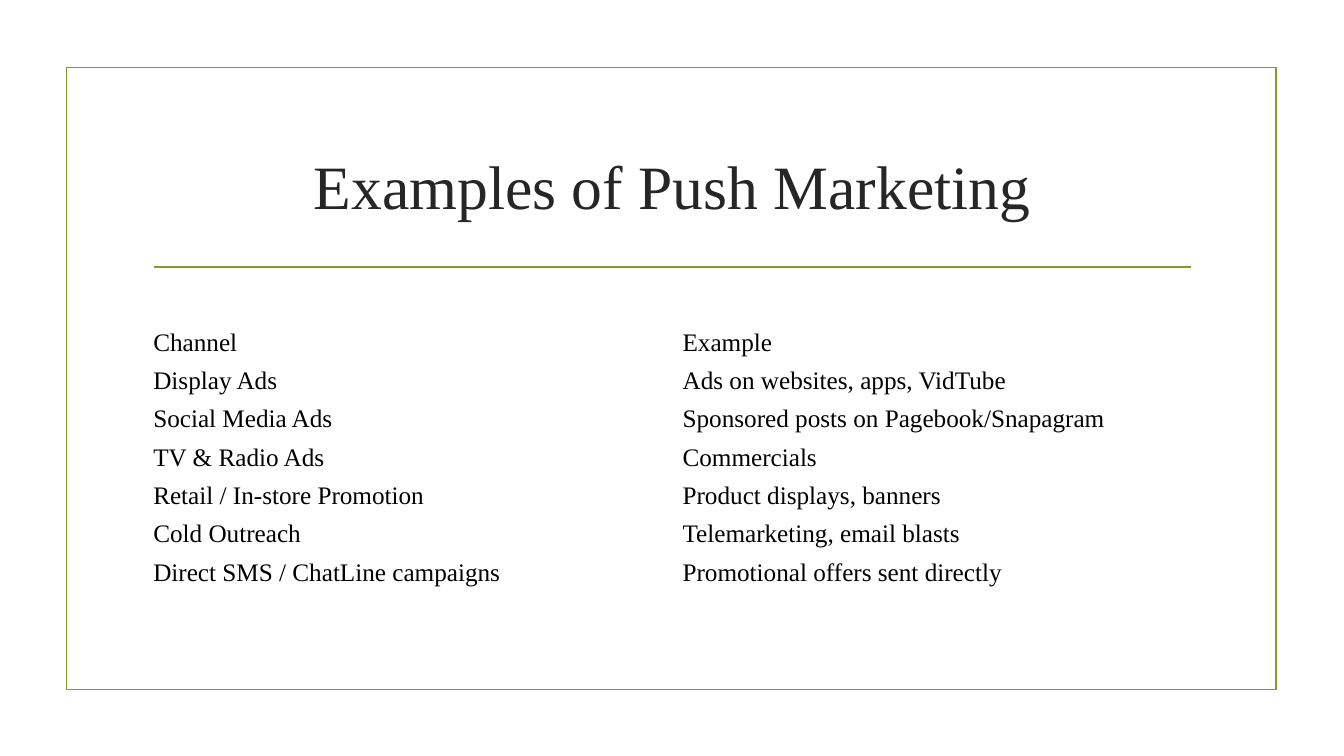
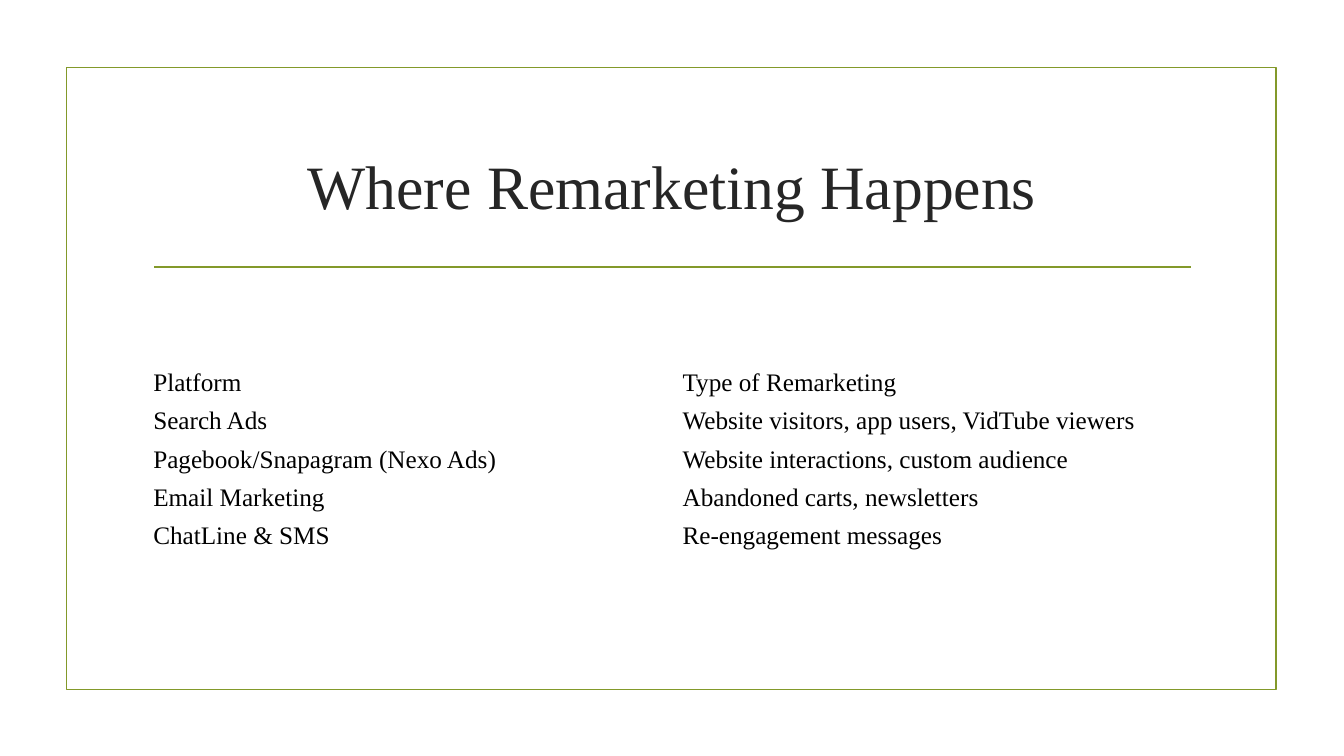
import pptx
import pptx.dml.color
import pptx.enum.shapes
import pptx.enum.text
import pptx.util
from lxml import etree
from pptx.util import Inches

FONT = "Times New Roman"
OLIVE = "83992A"
TITLE_INK = "262626"
BODY_INK = "000000"

# Boxes are left, top, width, height in inches
FRAME_BOX = (0.66, 0.67, 12, 6.17)
TITLE_BOX = (1.42, 1.07, 10.5, 1.43)
BODY_BOX = (1.42, 3.21, 10.5, 2.8)
ROW_SLOT = 0.4
ROW_HEIGHT = 0.38

SLIDES = [
    ("Examples of Push Marketing", [
        ("Channel", "Example"),
        ("Display Ads", "Ads on websites, apps, VidTube"),
        ("Social Media Ads", "Sponsored posts on Pagebook/Snapagram"),
        ("TV & Radio Ads", "Commercials"),
        ("Retail / In-store Promotion", "Product displays, banners"),
        ("Cold Outreach", "Telemarketing, email blasts"),
        ("Direct SMS / ChatLine campaigns", "Promotional offers sent directly"),
    ]),
    ("Where Remarketing Happens", [
        ("Platform", "Type of Remarketing"),
        ("Search Ads", "Website visitors, app users, VidTube viewers"),
        ("Pagebook/Snapagram (Nexo Ads)", "Website interactions, custom audience"),
        ("Email Marketing", "Abandoned carts, newsletters"),
        ("ChatLine & SMS", "Re-engagement messages"),
    ]),
]


def color(value):
    return pptx.dml.color.RGBColor.from_string(value)


def style_text(para, size, ink):
    for span in para.runs:
        span.font.name = FONT
        span.font.size = pptx.util.Pt(size)
        span.font.color.rgb = color(ink)


def style_line(line):
    line.color.rgb = color(OLIVE)
    line.width = pptx.util.Pt(1.25)


def add_frame(page, box):
    frame = page.shapes.add_shape(
        pptx.enum.shapes.MSO_SHAPE.RECTANGLE, *map(Inches, box))
    frame.shadow.inherit = False
    frame.fill.background()
    style_line(frame.line)


def add_title(page, box, text):
    left, top, width, height = box
    title = page.shapes.add_textbox(*map(Inches, box))
    text_frame = title.text_frame
    text_frame.word_wrap = True
    text_frame.vertical_anchor = pptx.enum.text.MSO_ANCHOR.MIDDLE
    text_frame.margin_top = Inches(0.15)
    text_frame.text = text
    para = text_frame.paragraphs[0]
    para.alignment = pptx.enum.text.PP_ALIGN.CENTER
    style_text(para, 44, TITLE_INK)

    # Rule below the title
    rule_y = Inches(top + height + 0.15)
    rule = page.shapes.add_connector(
        pptx.enum.shapes.MSO_CONNECTOR.STRAIGHT,
        Inches(left + 0.11), rule_y, Inches(left + width - 0.11), rule_y)
    style_line(rule.line)
    etree.SubElement(rule.element.spPr, pptx.oxml.ns.qn("a:effectLst"))


def add_body(page, box, rows):
    left, top, width, height = box
    # The rows are centred in the body box
    table_top = top + (height - ROW_SLOT * len(rows)) / 2
    table = page.shapes.add_table(
        len(rows), len(rows[0]), Inches(left), Inches(table_top),
        Inches(width), Inches(ROW_HEIGHT * len(rows))).table
    table.first_row = False
    table.horz_banding = False
    for row, texts in zip(table.rows, rows):
        row.height = Inches(ROW_HEIGHT)
        for cell, text in zip(row.cells, texts):
            cell.fill.background()
            cell.margin_top = cell.margin_bottom = Inches(0.04)
            cell.vertical_anchor = pptx.enum.text.MSO_ANCHOR.MIDDLE
            cell.text_frame.text = text
            style_text(cell.text_frame.paragraphs[0], 18, BODY_INK)


def main():
    deck = pptx.Presentation()
    deck.slide_width = Inches(13.33)
    deck.slide_height = Inches(7.5)
    for title, rows in SLIDES:
        page = deck.slides.add_slide(deck.slide_layouts[6])
        add_frame(page, FRAME_BOX)
        add_title(page, TITLE_BOX, title)
        add_body(page, BODY_BOX, rows)
    deck.save("out.pptx")


if __name__ == "__main__":
    main()
